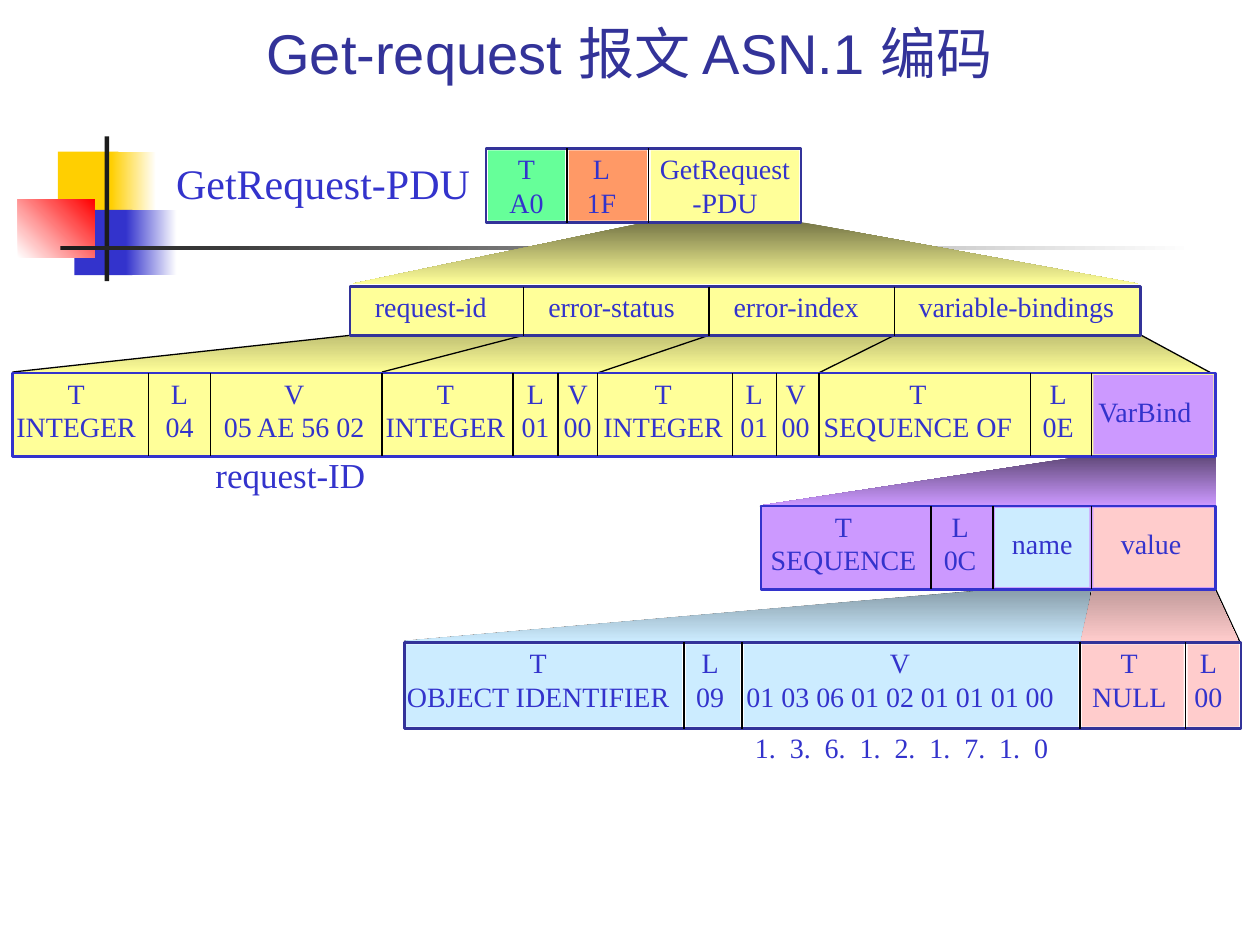
import pptx
import pptx.dml.color
import pptx.enum.shapes
import pptx.enum.text
import pptx.oxml
import pptx.util

Cm = pptx.util.Cm
BLUE, NAVY, BLACK, WHITE = "3333CC", "333399", "000000", "FFFFFF"
YELLOW, PURPLE, SKY, PINK = "FFFF99", "CC99FF", "CCECFF", "FFCCCC"


def paint(target, *colours, angle=0):
    """Fill with nothing, one colour, or a gradient turned clockwise."""
    if not colours:
        target.background()
    elif len(colours) == 1:
        target.solid()
        target.fore_color.rgb = pptx.dml.color.RGBColor.from_string(colours[0])
    else:
        target.gradient()
        target.gradient_angle = (360 - angle) % 360
        for stop, colour in zip(target.gradient_stops, colours):
            stop.color.rgb = pptx.dml.color.RGBColor.from_string(colour)


def add_box(page, left, top, width, height, *colours, angle=0, line=None):
    """Add a rectangle with an optional outline."""
    box = page.shapes.add_shape(pptx.enum.shapes.MSO_SHAPE.RECTANGLE,
                                Cm(left), Cm(top), Cm(width), Cm(height))
    box.shadow.inherit = False
    paint(box.fill, *colours, angle=angle)
    if line:
        paint(box.line.fill, line)
        box.line.width = pptx.util.Pt(1.5)
    else:
        box.line.fill.background()


def add_band(page, points, dark, light):
    """Add a shaded band that widens from one row to the next."""
    corners = [(Cm(x), Cm(y)) for x, y in points]
    builder = page.shapes.build_freeform(*corners[0], scale=1.0)
    builder.add_line_segments(corners[1:], close=True)
    band = builder.convert_to_shape()
    band.shadow.inherit = False
    paint(band.fill, dark, light, angle=90)
    band.line.fill.background()


def add_line(page, start_x, start_y, end_x, end_y):
    """Add a thin black line."""
    line = page.shapes.add_connector(pptx.enum.shapes.MSO_CONNECTOR.STRAIGHT,
                                     Cm(start_x), Cm(start_y), Cm(end_x), Cm(end_y))
    paint(line.line.fill, BLACK)
    line.line.width = pptx.util.Pt(0.75)
    line._element.spPr.append(pptx.oxml.parse_xml(
        '<a:effectLst xmlns:a="http://schemas.openxmlformats.org/drawingml/2006/main"/>'))


def add_text(page, text, left, top, width, height, size=16, font="Times New Roman",
             colour=BLUE, wrap=False, anchor=pptx.enum.text.MSO_ANCHOR.TOP):
    """Add centred text, one paragraph for each line."""
    frame = page.shapes.add_textbox(Cm(left), Cm(top), Cm(width), Cm(height)).text_frame
    frame.word_wrap = wrap
    frame.vertical_anchor = anchor
    for index, words in enumerate(text.split("\n")):
        para = frame.paragraphs[0] if index == 0 else frame.add_paragraph()
        para.alignment = pptx.enum.text.PP_ALIGN.CENTER
        span = para.add_run()
        span.text = words
        span.font.size = pptx.util.Pt(size)
        span.font.name = font
        paint(span.font.fill, colour)


def add_row(page, left, top, height, cells, base=None, line=BLUE):
    """Add a framed row of cells given as width, text shift, text and fill."""
    total = sum(cell[0] for cell in cells)
    add_box(page, left, top, total, height, *([base] if base else []), line=line)
    edge = left
    for width, shift, text, fill in cells:
        if fill != base:
            add_box(page, edge + 0.04, top + 0.04, width - 0.08, height - 0.08, fill)
        if edge > left:
            add_line(page, edge, top, edge, top + height)
        drop = 0.3 if "\n" not in text and height > 1.2 else -0.06
        add_text(page, text, edge + shift - 0.4, top + drop, width + 0.8,
                 0.95 if drop > 0 else height)
        edge += width


def add_ornament(page, left, top):
    """Add the coloured squares and the crossing bars."""
    for x, y, width, height, colours, angle in [
        (0.81, 0.31, 1.22, 1.32, ["FFCF01"], 0),
        (1.88, 0.31, 0.91, 1.32, ["FFCF01", WHITE], 0),
        (1.14, 1.48, 1.17, 1.32, [BLUE], 0),
        (2.18, 1.48, 1.02, 1.32, [BLUE, WHITE], 0),
        (0, 1.27, 1.55, 1.17, [WHITE, "FF0000"], 315),
        (1.75, 0, 0.09, 2.92, ["1C1C1C"], 0),
        (0.86, 2.2, 22.86, 0.09, ["1C1C1C", WHITE], 0),
    ]:
        add_box(page, left + x, top + y, width, height, *colours, angle=angle)


def add_links(page):
    """Add the bands and lines that join each row to the next."""
    add_band(page, [(7.11, 5.72), (13.08, 4.47), (16.1, 4.47), (22.94, 5.72)], "767647", YELLOW)
    add_band(page, [(0.3, 7.52), (7.06, 6.76), (23.01, 6.76), (24.38, 7.52)], "C2C274", YELLOW)
    for ends in [(0.25, 7.5, 7.06, 6.76), (7.7, 7.5, 10.55, 6.76), (12.04, 7.52, 14.29, 6.76),
                 (16.5, 7.52, 18.03, 6.76), (23.01, 6.76, 24.51, 7.57),
                 (15.32, 10.21, 22, 9.19), (24.46, 9.19, 24.46, 10.21),
                 (8.15, 12.93, 20.02, 11.89), (22, 11.86, 21.79, 12.9),
                 (24.51, 11.89, 24.99, 12.93)]:
        add_line(page, *ends)
    add_band(page, [(15.34, 10.19), (22.02, 9.17), (24.51, 9.19), (24.51, 10.19)],
             "5E4776", PURPLE)
    add_band(page, [(8.1, 12.93), (19.96, 11.89), (22, 11.89), (21.77, 12.93)], "889DAA", SKY)
    add_band(page, [(21.79, 12.93), (22.02, 11.89), (24.49, 11.89), (24.97, 12.93)],
             "C29B9B", PINK)


def add_rows(page):
    """Add the five rows of encoded fields."""
    add_row(page, 9.8, 2.99, 1.5, [
        (1.63, 0, "T\nA0", "66FF99"), (1.65, -0.13, "L\n1F", "FF9966"),
        (3.07, 0, "GetRequest\n-PDU", YELLOW)], line=NAVY)
    add_row(page, 7.06, 5.78, 0.99, [
        (3.49, -0.12, "request-id", YELLOW), (3.74, -0.09, "error-status", YELLOW),
        (3.74, -0.11, "error-index", YELLOW), (4.96, -0.02, "variable-bindings", YELLOW)],
        base=YELLOW, line=NAVY)
    add_row(page, 0.25, 7.52, 1.68, [
        (2.75, -0.09, "T\nINTEGER", YELLOW), (1.24, 0, "L\n04", YELLOW),
        (3.46, -0.04, "V\n05 AE 56 02", YELLOW),
        (2.64, -0.04, "T\nINTEGER", YELLOW), (0.91, 0, "L\n01", YELLOW),
        (0.79, 0, "V\n00", YELLOW),
        (2.72, -0.03, "T\nINTEGER", YELLOW), (0.89, 0, "L\n01", YELLOW),
        (0.86, -0.04, "V\n00", YELLOW),
        (4.27, -0.14, "T\nSEQUENCE OF", YELLOW), (1.22, -0.06, "L\n0E", YELLOW),
        (2.5, -0.17, "VarBind", PURPLE)], base=YELLOW)
    add_row(page, 15.34, 10.2, 1.68, [
        (3.43, -0.05, "T\nSEQUENCE", PURPLE), (1.25, -0.04, "L\n0C", PURPLE),
        (1.98, 0, "name", SKY), (2.51, -0.05, "value", PINK)], base=PURPLE)
    add_row(page, 8.15, 12.95, 1.74, [
        (5.64, -0.12, "T\nOBJECT IDENTIFIER", SKY), (1.17, -0.06, "L\n09", SKY),
        (6.81, -0.22, "V\n01 03 06 01 02 01 01 01 00", SKY),
        (2.13, -0.07, "T\nNULL", PINK), (1.12, -0.1, "L\n00", PINK)], line=NAVY)


deck = pptx.Presentation()
deck.slide_width, deck.slide_height = Cm(25.4), Cm(19.05)
page = deck.slides.add_slide(deck.slide_layouts[6])
add_ornament(page, 0.36, 2.75)
add_text(page, "Get-request 报文 ASN.1 编码", 1.88, 0.33, 21.62, 1.52, size=32, font="Arial",
         colour=NAVY, wrap=True, anchor=pptx.enum.text.MSO_ANCHOR.BOTTOM)
add_links(page)
add_rows(page)
add_text(page, "GetRequest-PDU", 3.3, 3.05, 6.43, 1.27, size=24)
add_text(page, "request-ID", 4.09, 9.02, 3.53, 1.09, size=20)
add_text(page, "1.  3.  6.  1.  2.  1.  7.  1.  0", 14.96, 14.6, 6.43, 0.94)
deck.save("out.pptx")
